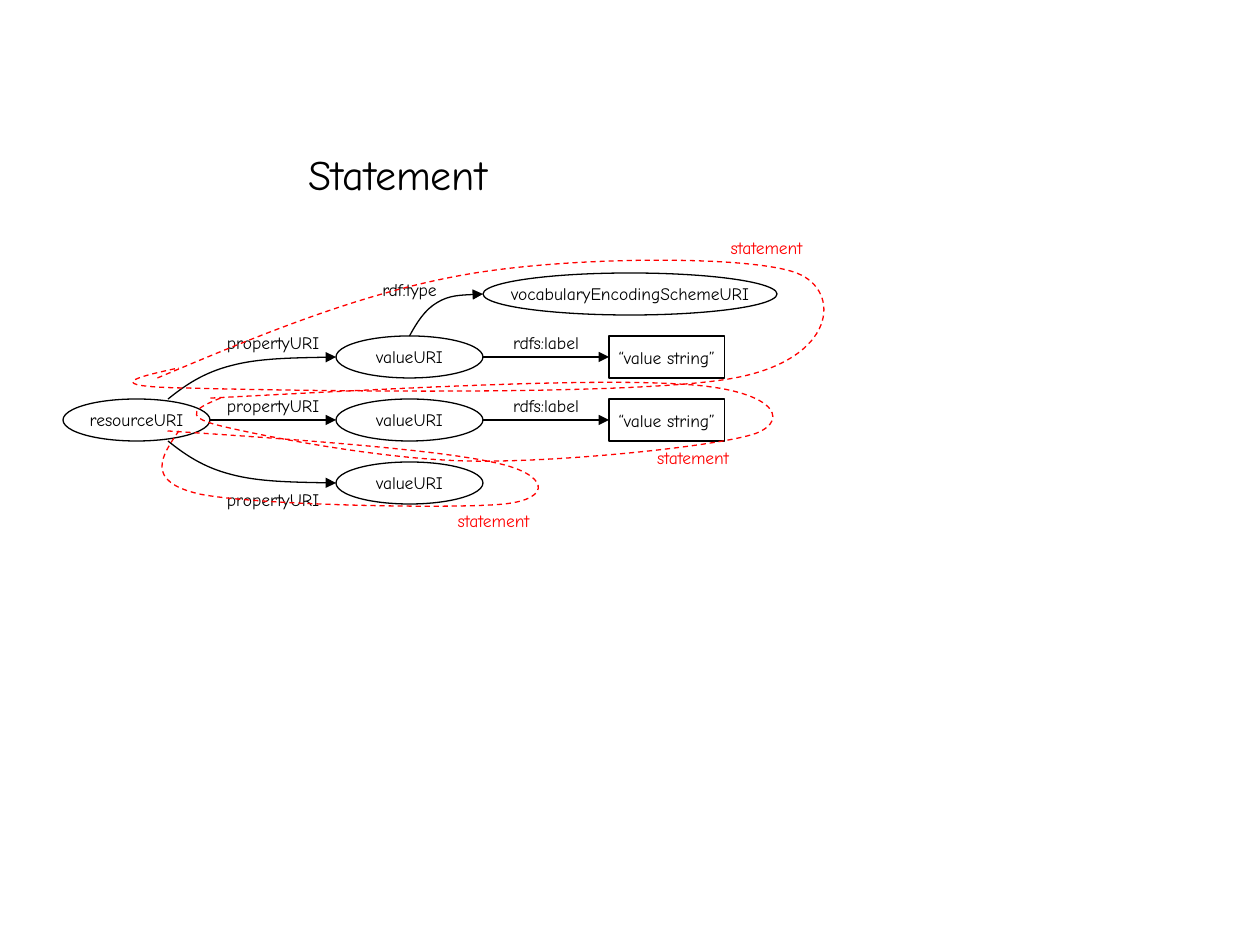
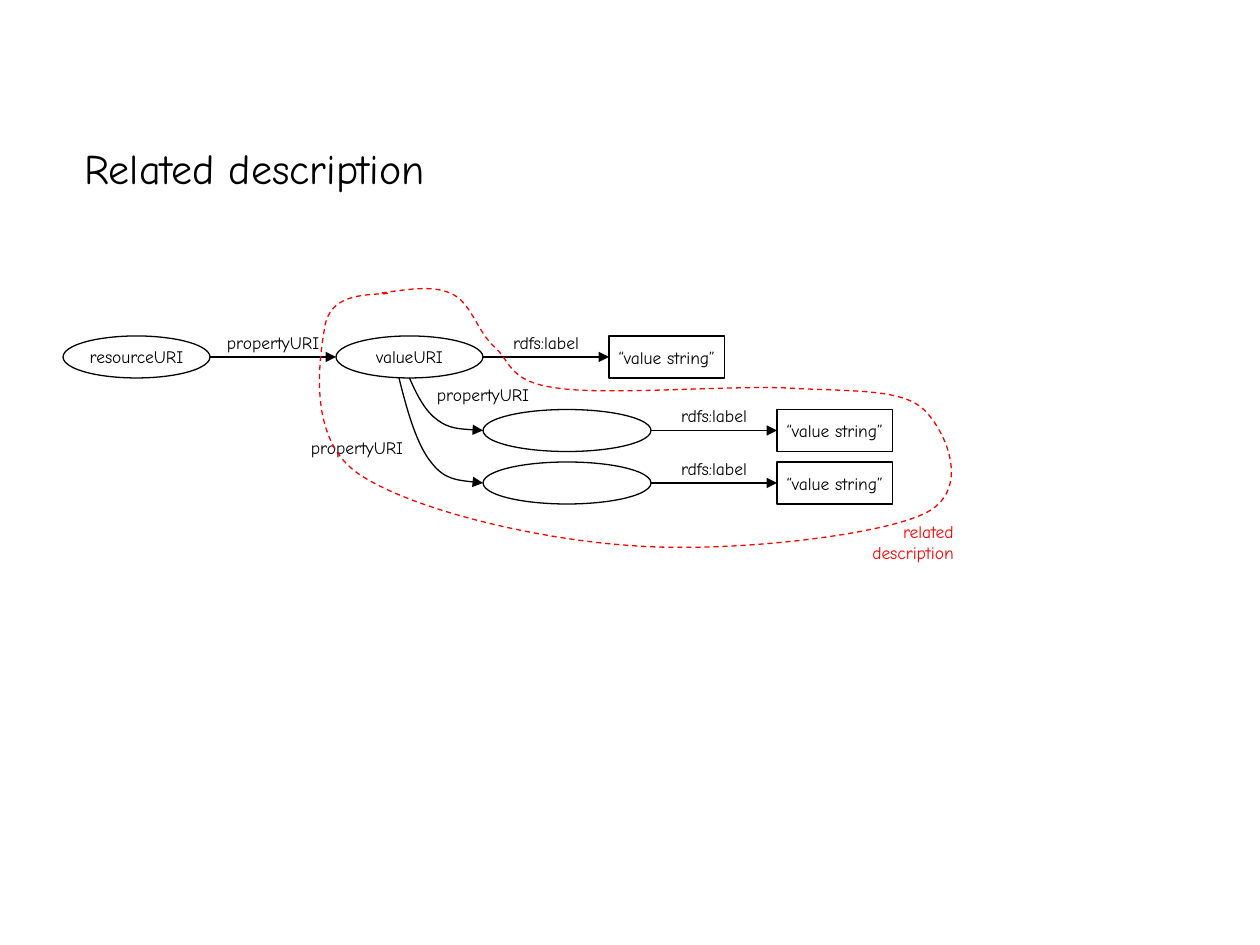
import dataclasses
import pptx
import pptx.dml.color
import pptx.enum.dml
import pptx.enum.shapes
import pptx.enum.text
import pptx.oxml
import pptx.oxml.ns
import pptx.util

Inches = pptx.util.Inches
Align = pptx.enum.text.PP_ALIGN
Anchor = pptx.enum.text.MSO_ANCHOR
AutoSize = pptx.enum.text.MSO_AUTO_SIZE
ShapeType = pptx.enum.shapes.MSO_SHAPE

BLACK, WHITE, RED = "000000", "FFFFFF", "FF0000"
FONT = "Comic Neue"
TITLE_SIZE, TEXT_SIZE = 24, 10
TITLE_ONLY = 5
CELLS_PER_INCH = 12
NODE_WIDTH, NODE_HEIGHT = 14, 4
LITERAL_WIDTH, RELATED_WIDTH, SCHEME_WIDTH = 11, 16, 28
LINK_LENGTH = 12
ARC_FRACTIONS = [(0, 0), (0.1, 0.32), (0.21, 0.63), (0.38, 0.8),
                 (0.54, 0.97), (0.77, 0.98), (1, 1)]

FIRST_STATEMENT = [
    (0.75, 1), (1.58, 0.65), (2.4, 0.31), (3.25, 0.17),
    (4.1, 0.03), (5.49, 0.03), (5.83, 0.17),
    (6.18, 0.31), (6.14, 0.85), (5.33, 1),
    (4.53, 1.15), (1.74, 1.1), (1, 1.08),
    (0.26, 1.07), (0.59, 0.99), (0.92, 0.92)]
SECOND_STATEMENT = [
    (1.17, 1.16), (2.68, 1.08), (4.19, 1), (4.92, 1.05),
    (5.64, 1.09), (5.78, 1.33), (5.5, 1.44),
    (5.22, 1.54), (3.96, 1.67), (3.25, 1.66),
    (2.54, 1.65), (1.58, 1.46), (1.25, 1.38),
    (0.92, 1.3), (1.08, 1.23), (1.25, 1.16)]
THIRD_STATEMENT = [
    (0.83, 1.42), (1.9, 1.49), (2.97, 1.57), (3.42, 1.67),
    (3.86, 1.76), (3.89, 1.96), (3.5, 2),
    (3.11, 2.04), (1.51, 2.01), (1.08, 1.92),
    (0.65, 1.82), (0.78, 1.62), (0.92, 1.42)]
RELATED_DESCRIPTION = [
    (2.58, 0.33), (2.35, 0.34), (2.13, 0.35), (2.08, 0.58),
    (2.04, 0.82), (1.93, 1.46), (2.33, 1.75),
    (2.74, 2.04), (3.75, 2.28), (4.5, 2.33),
    (5.25, 2.39), (6.44, 2.26), (6.83, 2.08),
    (7.22, 1.9), (7.01, 1.42), (6.83, 1.25),
    (6.65, 1.08), (6.24, 1.11), (5.75, 1.08),
    (5.26, 1.06), (4.31, 1.14), (3.92, 1.08),
    (3.53, 1.03), (3.56, 0.87), (3.42, 0.75),
    (3.28, 0.62), (3.24, 0.4), (3.08, 0.33),
    (2.93, 0.26), (2.72, 0.3), (2.5, 0.33)]


def cells(count):
    return Inches(count / CELLS_PER_INCH)


@dataclasses.dataclass
class Diagram:
    slide: object
    left: float = 0.5
    top: float = 2

    def place(self, x, y):
        return Inches(self.left) + cells(x), Inches(self.top) + cells(y)


def color(hex_value):
    return pptx.dml.color.RGBColor.from_string(hex_value)


def set_all(target, values):
    for name, value in values.items():
        setattr(target, name, value)


def write_text(shape, text, size=TEXT_SIZE, hex_value=BLACK, align=Align.CENTER, **frame_format):
    frame = shape.text_frame
    frame.text = text
    set_all(frame, frame_format)
    paragraph = frame.paragraphs[0]
    paragraph.alignment = align
    set_all(paragraph.font, {"name": FONT, "size": pptx.util.Pt(size)})
    paragraph.font.color.rgb = color(hex_value)


def style_line(shape, hex_value=BLACK, arrow=False, dashed=False):
    shape.line.color.rgb = color(hex_value)
    shape.line.width = pptx.util.Pt(0.75)
    if dashed:
        shape.line.dash_style = pptx.enum.dml.MSO_LINE.DASH
    if arrow:
        namespace = pptx.oxml.ns.nsdecls("a")
        head = pptx.oxml.parse_xml(f'<a:tailEnd {namespace} type="triangle"/>')
        shape.line._get_or_add_ln().append(head)


def add_title(slide, text, left, top, width):
    title = slide.shapes.title
    set_all(title, {"left": Inches(left), "top": Inches(top),
                    "width": Inches(width), "height": Inches(0.5)})
    write_text(title, text, TITLE_SIZE, align=Align.LEFT, word_wrap=False,
               vertical_anchor=Anchor.TOP, auto_size=AutoSize.SHAPE_TO_FIT_TEXT)


def add_label(diagram, text, x, y, hex_value=BLACK, align=Align.CENTER, height=0.27):
    label = diagram.slide.shapes.add_textbox(
        *diagram.place(x, y), cells(NODE_WIDTH), Inches(height))
    write_text(label, text, hex_value=hex_value, align=align, word_wrap=True,
               auto_size=AutoSize.SHAPE_TO_FIT_TEXT)


def add_node(diagram, text, x, y, width=NODE_WIDTH, kind=ShapeType.OVAL):
    node = diagram.slide.shapes.add_shape(
        kind, *diagram.place(x, y), cells(width), cells(NODE_HEIGHT))
    node.shadow.inherit = False
    node.fill.solid()
    node.fill.fore_color.rgb = color(WHITE)
    style_line(node)
    if text:
        write_text(node, text, word_wrap=False, vertical_anchor=Anchor.MIDDLE)


def add_link(diagram, text, x, y):
    middle = y + NODE_HEIGHT / 2
    connector = diagram.slide.shapes.add_connector(
        pptx.enum.shapes.MSO_CONNECTOR.STRAIGHT,
        *diagram.place(x, middle), *diagram.place(x + LINK_LENGTH, middle))
    style_line(connector, arrow=True)
    effects = pptx.oxml.parse_xml(f'<a:effectLst {pptx.oxml.ns.nsdecls("a")}/>')
    connector._element.spPr.append(effects)
    add_label(diagram, text, x - 1, y - 1)


def add_literal(diagram, x, y):
    add_link(diagram, "rdfs:label", x, y)
    add_node(diagram, "“value string”", x + LINK_LENGTH, y, LITERAL_WIDTH, ShapeType.RECTANGLE)


def bend_segments(curve):
    lines = list(curve._element.iter(pptx.oxml.ns.qn("a:lnTo")))
    for first in range(0, len(lines), 3):
        bend = pptx.oxml.parse_xml(f'<a:cubicBezTo {pptx.oxml.ns.nsdecls("a")}/>')
        lines[first].addprevious(bend)
        for line in lines[first:first + 3]:
            bend.append(line[0])
            line.getparent().remove(line)


def add_curve(diagram, places, **line_format):
    builder = diagram.slide.shapes.build_freeform(*places[0])
    builder.add_line_segments(places[1:], close=False)
    curve = builder.convert_to_shape()
    bend_segments(curve)
    curve.shadow.inherit = False
    curve.fill.background()
    style_line(curve, **line_format)


def add_arc(diagram, start, end):
    (x, y), (end_x, end_y) = start, end
    places = [diagram.place(x + across * (end_x - x), y + down * (end_y - y))
              for across, down in ARC_FRACTIONS]
    add_curve(diagram, places, arrow=True)


def add_outline(diagram, points):
    places = [(Inches(diagram.left + x), Inches(diagram.top + y)) for x, y in points]
    add_curve(diagram, places, hex_value=RED, dashed=True)


def draw_statements(diagram):
    add_node(diagram, "resourceURI", 0, 14)
    add_link(diagram, "propertyURI", 14, 14)
    for y in (8, 14, 20):
        add_node(diagram, "valueURI", 26, y)
    for y in (8, 14):
        add_literal(diagram, 40, y)
    for y in (7, 22):
        add_label(diagram, "propertyURI", 13, y)
    add_label(diagram, "rdf:type", 26, 2)
    add_node(diagram, "vocabularyEncodingSchemeURI", 40, 2, SCHEME_WIDTH)
    for start, end in [((10, 14), (26, 10)), ((10, 18), (26, 22)), ((33, 8), (40, 4))]:
        add_arc(diagram, start, end)
    for outline, x, y in [(FIRST_STATEMENT, 60, -2),
                          (SECOND_STATEMENT, 53, 18),
                          (THIRD_STATEMENT, 34, 24)]:
        add_outline(diagram, outline)
        add_label(diagram, "statement", x, y, RED)


def draw_related_description(diagram):
    add_node(diagram, "resourceURI", 0, 8)
    add_link(diagram, "propertyURI", 14, 8)
    add_node(diagram, "valueURI", 26, 8)
    add_literal(diagram, 40, 8)
    for y, arc_x, label_x, label_y in [(15, 33, 33, 12), (20, 32, 21, 17)]:
        add_label(diagram, "propertyURI", label_x, label_y)
        add_node(diagram, "", 40, y, RELATED_WIDTH)
        add_arc(diagram, (arc_x, 12), (40, y + NODE_HEIGHT / 2))
        add_literal(diagram, 40 + RELATED_WIDTH, y)
    add_outline(diagram, RELATED_DESCRIPTION)
    add_label(diagram, "related description", 72, 25, RED, Align.RIGHT, 0.44)


def main():
    presentation = pptx.Presentation()
    set_all(presentation, {"slide_width": Inches(10), "slide_height": Inches(7.5)})
    for title, left, top, width, draw in [
            ("Statement", 2.35, 1.13, 1.63, draw_statements),
            ("Related description", 0.57, 1.08, 2.92, draw_related_description)]:
        slide = presentation.slides.add_slide(presentation.slide_layouts[TITLE_ONLY])
        add_title(slide, title, left, top, width)
        draw(Diagram(slide))
    presentation.save("out.pptx")


if __name__ == "__main__":
    main()
